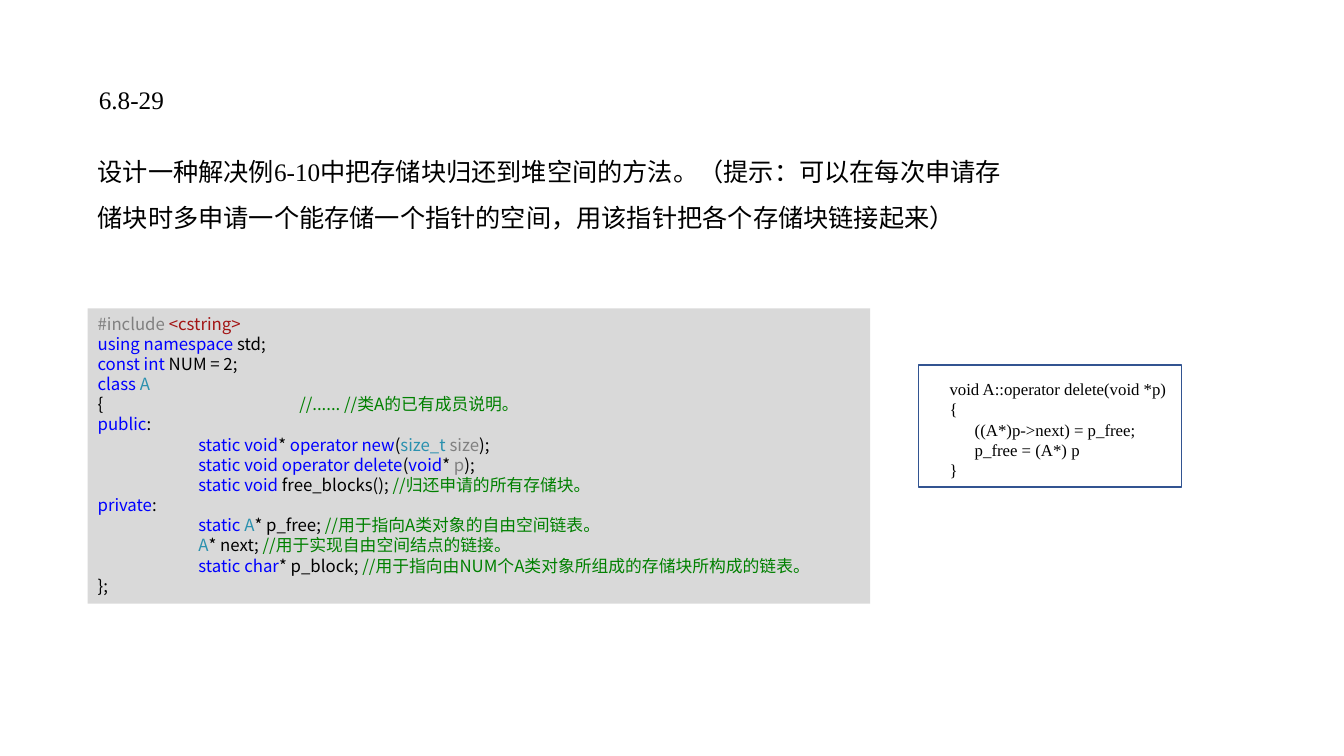
from pptx import Presentation
from pptx.dml.color import RGBColor
from pptx.enum.shapes import MSO_SHAPE
from pptx.enum.text import MSO_ANCHOR, PP_ALIGN
from pptx.util import Inches, Pt
from lxml.etree import SubElement
from pptx.oxml.ns import qn

# Content
COLORS = {
    "plain": "000000", "keyword": "0000FF", "type": "2B91AF",
    "comment": "008000", "string": "A31515", "muted": "808080",
    "panel": "D9D9D9", "outline": "325491",
}
SERIF, SANS = "Times New Roman", "Noto Sans CJK SC"

TITLE = "6.8-29"
QUESTION = ("设计一种解决例6-10中把存储块归还到堆空间的方法。（提示：可以在每次申请"
            "存储块时多申请一个能存储一个指针的空间，用该指针把各个存储块链接起来）")
CLASS_CODE = [
    [("muted", "#include "), ("string", "<cstring>")],
    [("keyword", "using namespace"), ("plain", " std;")],
    [("keyword", "const int"), ("plain", " NUM = 2;")],
    [("keyword", "class "), ("type", "A")],
    [("plain", "{\t\t"), ("comment", "//...... //类A的已有成员说明。")],
    [("keyword", "public"), ("plain", ":")],
    [("keyword", "\tstatic void"), ("plain", "* "), ("keyword", "operator new"),
     ("plain", "("), ("type", "size_t "), ("muted", "size"), ("plain", ");")],
    [("keyword", "\tstatic void operator delete"), ("plain", "("),
     ("keyword", "void"), ("plain", "* "), ("muted", "p"), ("plain", ");")],
    [("keyword", "\tstatic void"), ("plain", " free_blocks(); "),
     ("comment", "//归还申请的所有存储块。")],
    [("keyword", "private"), ("plain", ":")],
    [("keyword", "\tstatic "), ("type", "A"), ("plain", "* p_free; "),
     ("comment", "//用于指向A类对象的自由空间链表。")],
    [("type", "\tA"), ("plain", "* next; "),
     ("comment", "//用于实现自由空间结点的链接。")],
    [("keyword", "\tstatic char"), ("plain", "* p_block; "),
     ("comment", "//用于指向由NUM个A类对象所组成的存储块所构成的链表。")],
    [("plain", "};")],
]
DELETE_CODE = [
    "void A::operator delete(void *p)",
    "{",
    "      ((A*)p->next) = p_free;",
    "      p_free = (A*) p",
    "}",
]

# Left, top, width, height in inches
TITLE_BOX = (0.64, 0.79, 1.11, 0.4)
QUESTION_BOX = (0.87, 1.35, 9.28, 1.01)
CLASS_BOX = (0.87, 3.06, 7.76, 2.93)
DELETE_BOX = (9.32, 3.71, 3.86, 1.11)
OUTLINE_BOX = (9.11, 3.62, 2.61, 1.21)


def color(name):
    return RGBColor.from_string(COLORS[name])


def plain_lines(*lines):
    return [[("plain", line)] for line in lines]


def write(shape, lines, size, font, spacing=None, wrap=True):
    frame = shape.text_frame
    frame.word_wrap = wrap
    frame.vertical_anchor = MSO_ANCHOR.TOP
    frame.margin_left = frame.margin_right = Inches(0.1)
    frame.margin_top = frame.margin_bottom = Inches(0.05)
    for index, line in enumerate(lines):
        paragraph = frame.add_paragraph() if index else frame.paragraphs[0]
        paragraph.alignment = PP_ALIGN.LEFT
        paragraph.space_before = Pt(0)
        # Tabs stop at every inch
        paragraph._p.get_or_add_pPr().set("defTabSz", str(Inches(1)))
        if spacing:
            paragraph.line_spacing = Pt(spacing)
        for style, text in line:
            run = paragraph.add_run()
            run.text = text
            run.font.size = Pt(size)
            run.font.name = font
            run.font.color.rgb = color(style)
            # East Asian characters share one sans face
            SubElement(run.font._element, qn("a:ea"), typeface=SANS)


def add_box(slide, box):
    return slide.shapes.add_textbox(*map(Inches, box))


def add_rectangle(slide, box):
    shape = slide.shapes.add_shape(MSO_SHAPE.RECTANGLE, *map(Inches, box))
    shape.shadow.inherit = False
    return shape


def main():
    presentation = Presentation()
    presentation.slide_width = Inches(13.33)
    presentation.slide_height = Inches(7.5)
    slide = presentation.slides.add_slide(presentation.slide_layouts[5])

    # Exercise number, indented
    title = slide.shapes.title
    title.left, title.top, title.width, title.height = map(Inches, TITLE_BOX)
    write(title, plain_lines(TITLE), 18, SERIF, wrap=False)
    properties = title.text_frame.paragraphs[0]._p.get_or_add_pPr()
    properties.set("marL", str(Inches(0.24)))
    properties.set("indent", "0")

    # Question
    write(add_box(slide, QUESTION_BOX), plain_lines(QUESTION), 18, SERIF, 32.8)

    # Class declaration
    panel = add_rectangle(slide, CLASS_BOX)
    panel.fill.solid()
    panel.fill.fore_color.rgb = color("panel")
    panel.line.fill.background()
    write(panel, CLASS_CODE, 12, SANS, 14.4)

    # Delete operator and its frame
    write(add_box(slide, DELETE_BOX), plain_lines(*DELETE_CODE), 12, SERIF, 14.4)
    outline = add_rectangle(slide, OUTLINE_BOX)
    outline.fill.background()
    outline.line.color.rgb = color("outline")
    outline.line.width = Pt(1)

    presentation.save("out.pptx")


if __name__ == "__main__":
    main()
